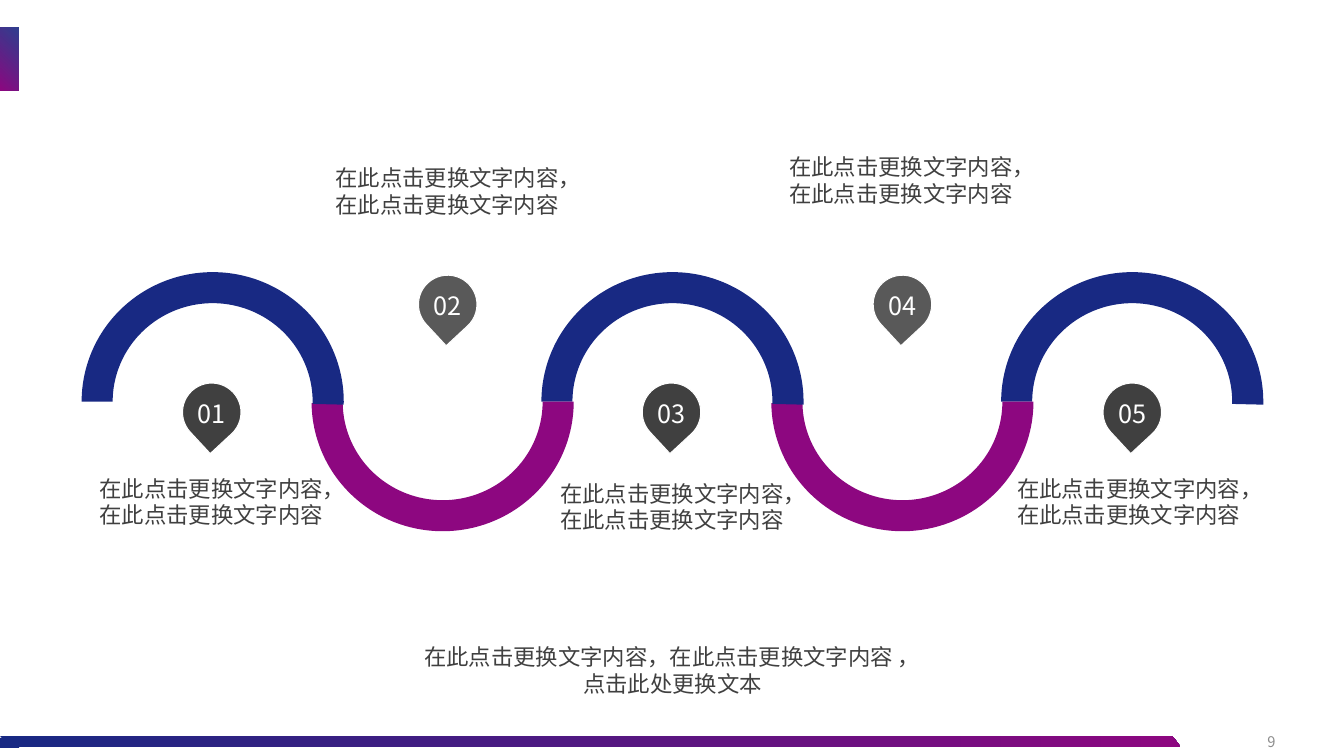
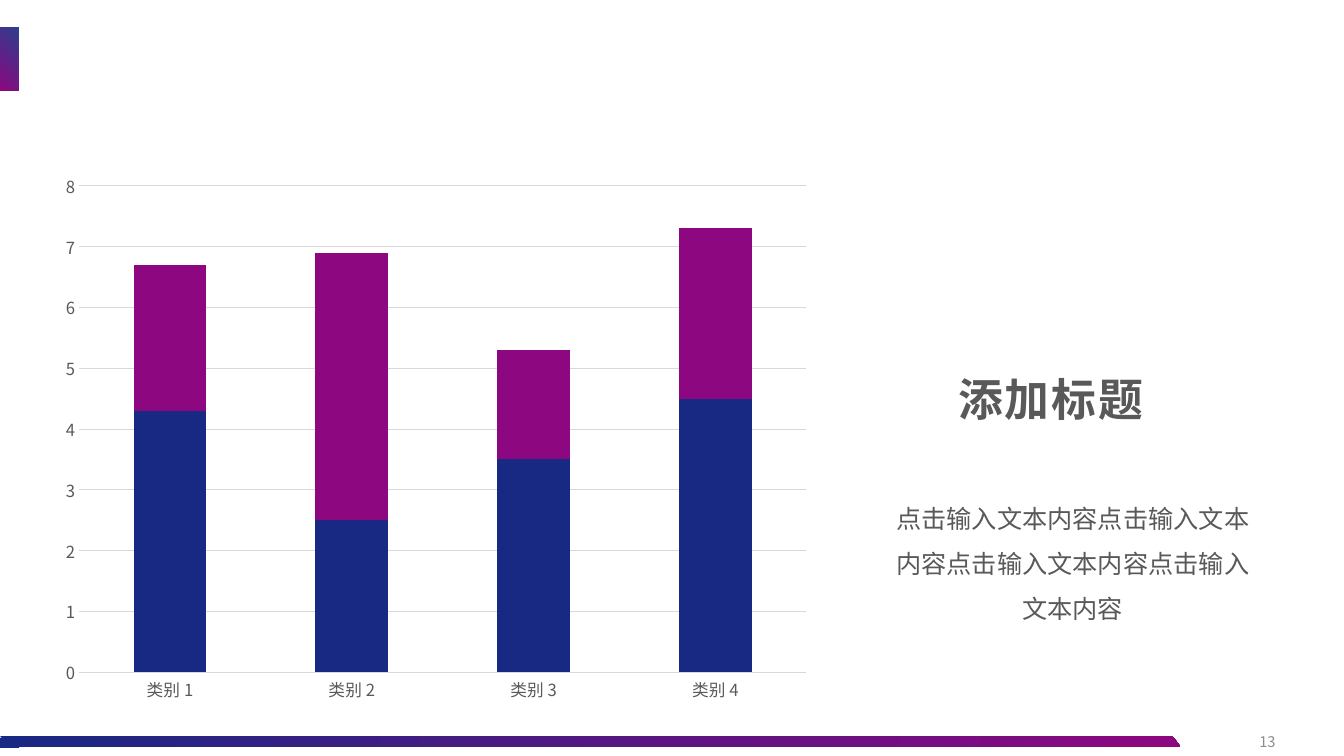
import lxml.etree
import pptx
import pptx.chart.data
import pptx.dml.color
import pptx.enum.chart
import pptx.enum.shapes
import pptx.enum.text
import pptx.oxml.ns
import pptx.util

Inches = pptx.util.Inches
Pt = pptx.util.Pt
SHAPES = pptx.enum.shapes.MSO_SHAPE
ALIGN = pptx.enum.text.PP_ALIGN
ANCHOR = pptx.enum.text.MSO_ANCHOR
AUTO_SIZE = pptx.enum.text.MSO_AUTO_SIZE
qn = pptx.oxml.ns.qn

FONT = "Noto Sans CJK SC"
NAVY = "182983"
PURPLE = "8D0780"
DARK = "404040"
GRAY = "595959"
PAGE_GRAY = "8C8C8C"
GRID_GRAY = "D9D9D9"
WHITE = "FFFFFF"

CAPTION = "在此点击更换文字内容，在此点击更换文字内容"
SUMMARY = "在此点击更换文字内容，在此点击更换文字内容 ，点击此处更换文本"

ARC_LEFT, ARC_TOP, ARC_PITCH = 0.81, 2.7, 2.28
ARC_WIDTH, ARC_HEIGHT = 2.6, 2.57

# pin left, caption left, caption top
STEPS = [
    (1.81, 0.79, 4.66),
    (4.15, 3.13, 1.58),
    (6.37, 5.36, 4.71),
    (8.66, 7.63, 1.47),
    (10.94, 9.89, 4.66),
]


def rgb(color):
    return pptx.dml.color.RGBColor.from_string(color)


def set_font(font, size, color, bold=False):
    """Set the format for Latin and East Asian letters alike."""
    font.size = Pt(size)
    font.bold = bold
    font.color.rgb = rgb(color)
    font.name = FONT
    east_asian = lxml.etree.SubElement(font._rPr, qn("a:ea"))
    east_asian.set("typeface", FONT)


class Deck:
    """Holds the presentation, its style and the current slide."""

    def __init__(self):
        self.presentation = pptx.Presentation()
        self.presentation.slide_width = Inches(13.33)
        self.presentation.slide_height = Inches(7.5)
        self.slide = None

    def new_slide(self, number):
        """Start a slide with the corner tab, bottom band and page number."""
        layout = self.presentation.slide_layouts[6]
        self.slide = self.presentation.slides.add_slide(layout)

        tab = self.shape(SHAPES.RECTANGLE, 0, 0.27, 0.18, 0.63)
        self.gradient(tab, angle=225)
        first_color = next(tab._element.iter(qn("a:srgbClr")))
        alpha = lxml.etree.SubElement(first_color, qn("a:alpha"))
        alpha.set("val", "90000")

        self.text(str(number), 9.75, 7.16, 3, 0.4, size=10.5, color=PAGE_GRAY,
                  align=ALIGN.RIGHT, anchor=ANCHOR.MIDDLE, grow=False)

        band = self.shape(SHAPES.PARALLELOGRAM, 0, 7.3, 11.71, 0.11,
                          adjustments=[0.78])
        band._element.spPr.find(qn("a:xfrm")).set("flipV", "1")
        self.gradient(band, angle=0)
        self.shape(SHAPES.RECTANGLE, 0, 7.32, 0.19, 0.1, fill=NAVY)

    def shape(self, kind, left, top, width, height, fill=None, line=None,
              rotation=0, adjustments=()):
        shape = self.slide.shapes.add_shape(
            kind, Inches(left), Inches(top), Inches(width), Inches(height))
        shape.shadow.inherit = False
        shape.rotation = rotation
        for index, value in enumerate(adjustments):
            shape.adjustments[index] = value
        if fill:
            shape.fill.solid()
            shape.fill.fore_color.rgb = rgb(fill)
        if line:
            shape.line.color.rgb = rgb(line)
            shape.line.width = Pt(0)
        else:
            shape.line.fill.background()
        return shape

    def gradient(self, shape, angle):
        """Fill from navy to purple; the angle runs counterclockwise."""
        shape.fill.gradient()
        shape.fill.gradient_angle = angle
        for stop, color in zip(shape.fill.gradient_stops, (NAVY, PURPLE)):
            stop.color.rgb = rgb(color)

    def text(self, text, left, top, width, height, size=16, color=DARK,
             bold=False, align=ALIGN.CENTER, anchor=ANCHOR.TOP, wrap=True,
             grow=True, line_spacing=None, letter_spacing=None):
        box = self.slide.shapes.add_textbox(
            Inches(left), Inches(top), Inches(width), Inches(height))
        frame = box.text_frame
        frame.word_wrap = wrap
        frame.vertical_anchor = anchor
        frame.auto_size = AUTO_SIZE.SHAPE_TO_FIT_TEXT if grow else AUTO_SIZE.NONE
        paragraph = frame.paragraphs[0]
        paragraph.alignment = align
        if line_spacing:
            paragraph.line_spacing = line_spacing
        run = paragraph.add_run()
        run.text = text
        set_font(run.font, size, color, bold)
        if letter_spacing:
            run.font._rPr.set("spc", str(letter_spacing * 100))

    def pin(self, number, left, top, fill):
        self.shape(SHAPES.TEAR, left, top, 0.58, 0.58, fill=fill, line=WHITE,
                   rotation=137.1)
        self.text(f"{number:02d}", left + 0.04, top + 0.1, 0.5, 0.4, size=18,
                  color=WHITE, wrap=False)

    def stacked_columns(self, categories, series, left, top, width, height):
        """Add a chart; series is a list of (name, values, color)."""
        data = pptx.chart.data.CategoryChartData()
        data.categories = categories
        for name, values, _ in series:
            data.add_series(name, values)
        chart = self.slide.shapes.add_chart(
            pptx.enum.chart.XL_CHART_TYPE.COLUMN_STACKED, Inches(left),
            Inches(top), Inches(width), Inches(height), data).chart
        chart.has_legend = False
        chart.has_title = False
        set_font(chart.font, 10, "000000")

        plot = chart.plots[0]
        plot.gap_width = 150
        plot.overlap = 100
        plot.vary_by_categories = False
        for column, (_, _, color) in zip(plot.series, series):
            column.format.fill.solid()
            column.format.fill.fore_color.rgb = rgb(color)

        for axis in (chart.category_axis, chart.value_axis):
            axis.major_tick_mark = pptx.enum.chart.XL_TICK_MARK.NONE
            axis.minor_tick_mark = pptx.enum.chart.XL_TICK_MARK.NONE
            set_font(axis.tick_labels.font, 11.9, GRAY)
        value_axis = chart.value_axis
        value_axis.minimum_scale = 0
        value_axis.maximum_scale = 8
        value_axis.major_unit = 1
        value_axis.format.line.fill.background()
        value_axis.has_major_gridlines = True
        for line in (chart.category_axis.format.line,
                     value_axis.major_gridlines.format.line):
            line.color.rgb = rgb(GRID_GRAY)
            line.width = Pt(0.75)


def add_wave_slide(deck):
    deck.new_slide(9)
    for index in reversed(range(len(STEPS))):
        below = index % 2 == 1
        deck.shape(SHAPES.BLOCK_ARC, ARC_LEFT + index * ARC_PITCH, ARC_TOP,
                   ARC_WIDTH, ARC_HEIGHT, fill=PURPLE if below else NAVY,
                   rotation=180 if below else 0,
                   adjustments=[108, 215.63 if below else 0.79, 0.12])
    for index, (pin_left, caption_left, caption_top) in enumerate(STEPS):
        below = index % 2 == 1
        deck.pin(index + 1, pin_left, 2.73 if below else 3.8,
                 GRAY if below else DARK)
        deck.text(CAPTION, caption_left, caption_top, 2.61, 0.91)
    deck.text(SUMMARY, 4.01, 6.33, 5.32, 0.64)


def add_chart_slide(deck):
    deck.new_slide(13)
    deck.stacked_columns(
        [f"类别 {number}" for number in range(1, 5)],
        [("Series 1", (4.3, 2.5, 3.5, 4.5), NAVY),
         ("Series 2", (2.4, 4.4, 1.8, 2.8), PURPLE)],
        0.5, 1.61, 7.65, 5.46)
    deck.text("添 加 标 题", 8.92, 3.64, 3, 0.64, size=32, color=GRAY,
              bold=True, letter_spacing=-3)
    deck.text("点击输入文本内容" * 4, 8.67, 4.79, 3.94, 1.46, size=18,
              color=GRAY, line_spacing=1.5)


def main():
    deck = Deck()
    add_wave_slide(deck)
    add_chart_slide(deck)
    deck.presentation.save("out.pptx")


if __name__ == "__main__":
    main()
